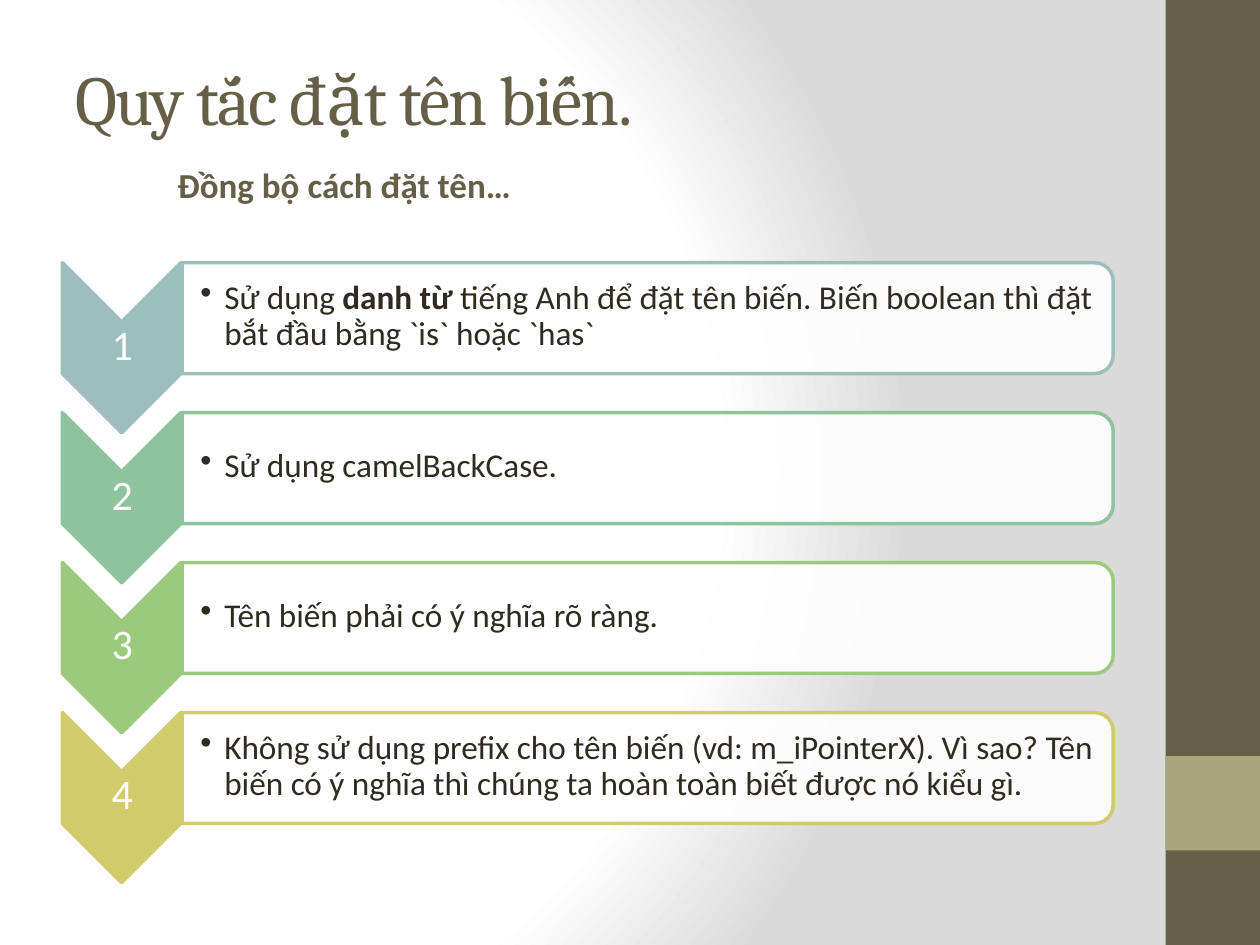
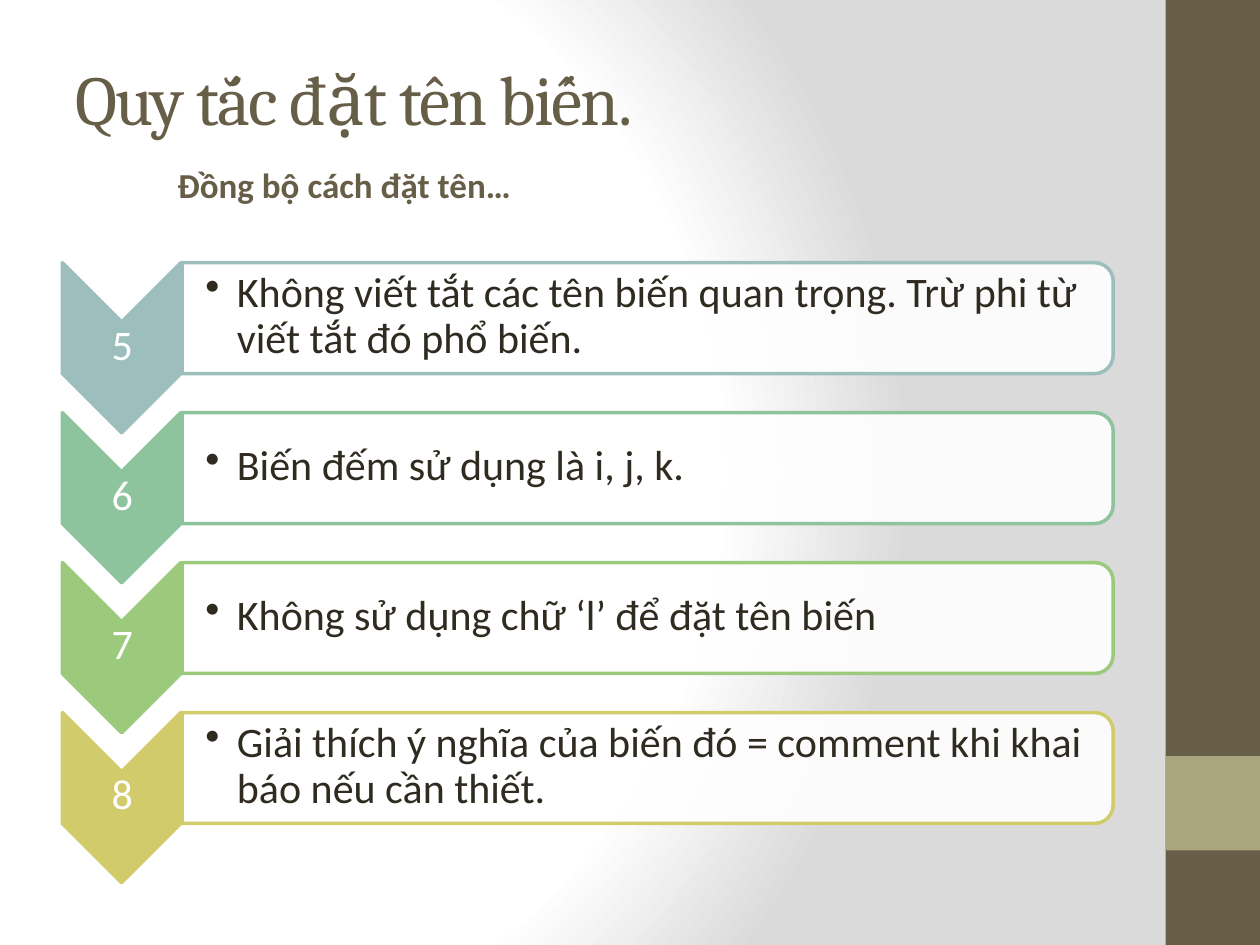
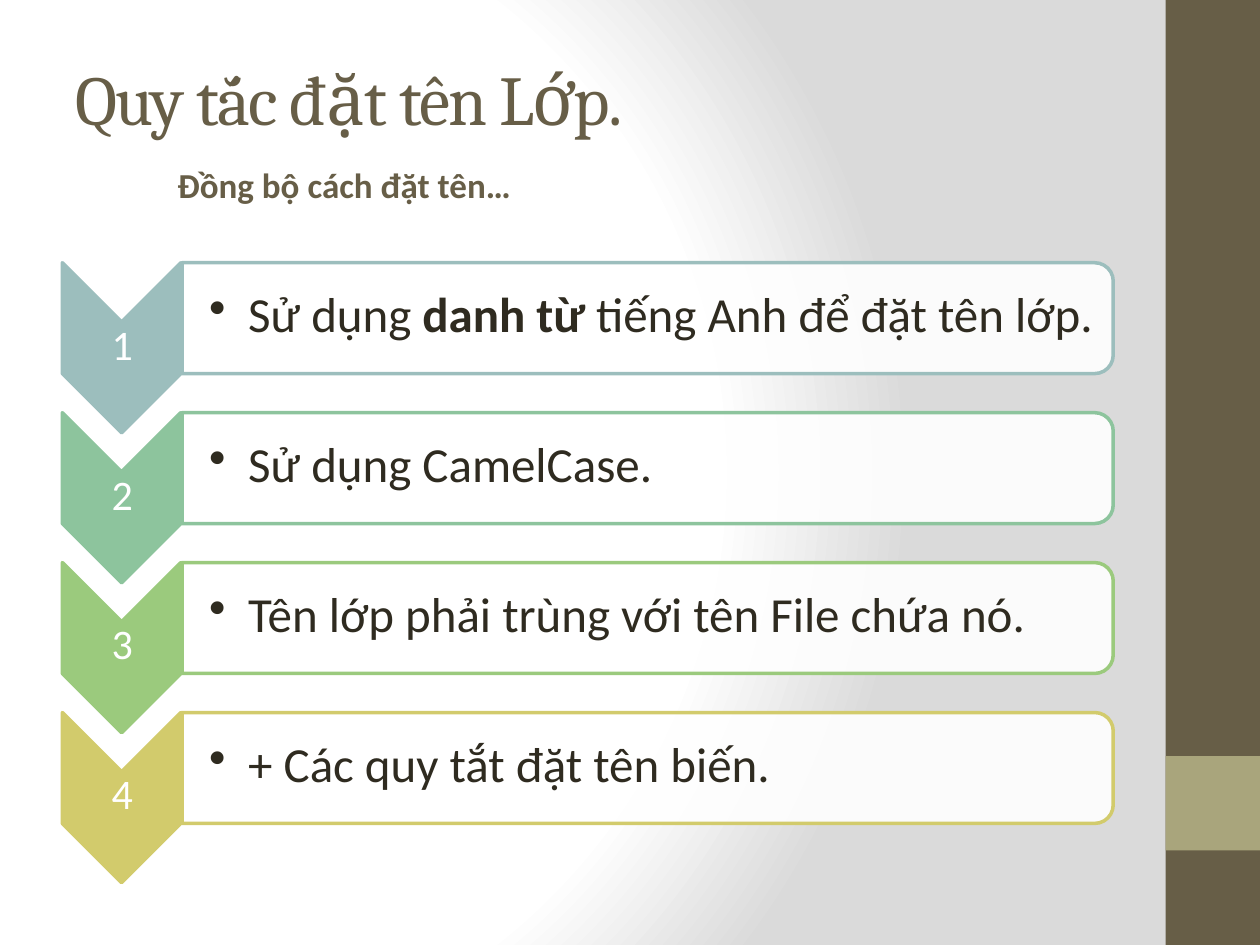
from dataclasses import dataclass

from pptx import Presentation
from pptx.dml.color import RGBColor
from pptx.enum import shapes, text
from pptx.oxml import parse_xml
from pptx.oxml.ns import nsdecls, qn
from pptx.util import Inches, Pt


@dataclass(frozen=True)
class Theme:
    heading_font: str = "Cambria"
    body_font: str = "Calibri"
    brown: str = "675E47"
    khaki: str = "A9A57C"
    ink: str = "2F2B20"
    white: str = "FFFFFF"
    gray: str = "DADADA"
    steps: tuple = ("9CBEBD", "8DC49D", "9BCA7D", "D2CB6C")
    title_size: int = 40
    subtitle_size: int = 20
    number_size: int = 24


@dataclass(frozen=True)
class RuleText:
    size: int
    inset: float
    indent: float


THEME = Theme()
SUBTITLE = "Đồng bộ cách đặt tên…"
LEFT, CONTENT_WIDTH = 0.5, 8.33
STEP_TOP, STEP_PITCH = 2.08, 1.19
CHEVRON_WIDTH, CHEVRON_HEIGHT = 0.94, 1.35
RULE_LEFT = LEFT + CHEVRON_WIDTH
RULE_WIDTH, RULE_HEIGHT = 7.39, 0.88

SLIDES = [
    ("Quy tắc đặt tên biến.", 1, RuleText(19, 0.15, 0.19), [
        "Sử dụng *danh từ *tiếng Anh để đặt tên biến. Biến boolean thì đặt bắt đầu bằng `is` hoặc `has`",
        "Sử dụng camelBackCase.",
        "Tên biến phải có ý nghĩa rõ ràng.",
        "Không sử dụng prefix cho tên biến (vd: m_iPointerX). Vì sao? "
        "Tên biến có ý nghĩa thì chúng ta hoàn toàn biết được nó kiểu gì.",
    ]),
    ("Quy tắc đặt tên biến.", 5, RuleText(24, 0.19, 0.25), [
        "Không viết tắt các tên biến quan trọng. Trừ phi từ viết tắt đó phổ biến.",
        "Biến đếm sử dụng là i, j, k.",
        "Không sử dụng chữ ‘l’ để đặt tên biến",
        "Giải thích ý nghĩa của biến đó = comment khi khai báo nếu cần thiết.",
    ]),
    ("Quy tắc đặt tên Lớp.", 1, RuleText(28, 0.22, 0.31), [
        "Sử dụng *danh từ *tiếng Anh để đặt tên lớp.",
        "Sử dụng CamelCase.",
        "Tên lớp phải trùng với tên File chứa nó.",
        "+ Các quy tắt đặt tên biến.",
    ]),
]


def bounds(left, top, width, height):
    return [Inches(round(length, 2)) for length in (left, top, width, height)]


def write(frame, content, size, color, font=THEME.body_font, bold=False,
          align=text.PP_ALIGN.LEFT, anchor=text.MSO_ANCHOR.MIDDLE, insets=None,
          margin=0, hanging=0, bullet=None, line_spacing=None, tracking=None):
    frame.word_wrap = True
    frame.auto_size = text.MSO_AUTO_SIZE.NONE
    frame.vertical_anchor = anchor
    if insets:
        (frame.margin_left, frame.margin_top,
         frame.margin_right, frame.margin_bottom) = map(Inches, insets)
    paragraph = frame.paragraphs[0]
    properties = paragraph._p.get_or_add_pPr()
    properties.set("marL", str(Inches(margin)))
    properties.set("indent", str(-Inches(hanging)))
    if bullet:
        properties.append(parse_xml(f'<a:buChar {nsdecls("a")} char="{bullet}"/>'))
    paragraph.alignment = align
    if line_spacing:
        paragraph.line_spacing = line_spacing
    for index, part in enumerate(content.split("*")):
        run = paragraph.add_run()
        run.text = part
        run.font.name = font
        run.font.size = Pt(size)
        run.font.bold = bold or index % 2 == 1
        run.font.color.rgb = RGBColor.from_string(color)
        if tracking is not None:
            run.font._element.set("spc", str(tracking * 100))


def add_text(slide, box, content, **style):
    write(slide.shapes.add_textbox(*bounds(*box)).text_frame, content, **style)


def add_filled(slide, preset, box, fill, line=None, opacity=None):
    shape = slide.shapes.add_shape(preset, *bounds(*box))
    shape.shadow.inherit = False
    shape.fill.solid()
    shape.fill.fore_color.rgb = RGBColor.from_string(fill)
    if opacity:
        color = shape.element.spPr.find(qn("a:solidFill"))[0]
        color.append(parse_xml(f'<a:alpha {nsdecls("a")} val="{opacity * 1000}"/>'))
    if line:
        shape.line.color.rgb = RGBColor.from_string(line)
        shape.line.width = Pt(2)
    else:
        shape.line.fill.background()
    return shape


def add_turned(slide, preset, box, fill, **style):
    left, top, width, height = box
    shift = (width - height) / 2
    shape = add_filled(slide, preset, (left + shift, top - shift, height, width), fill, **style)
    shape.rotation = 90


def set_background(master):
    master.background.fill.solid()
    properties = master.element.find(f".//{qn('p:bgPr')}")
    stops = "".join(
        f'<a:gs pos="{position * 1000}"><a:srgbClr val="{color}"/></a:gs>'
        for position, color in ((0, THEME.white), (75, THEME.white), (100, THEME.gray)))
    properties.replace(properties[0], parse_xml(
        f'<a:gradFill {nsdecls("a")} rotWithShape="1"><a:gsLst>{stops}</a:gsLst>'
        '<a:path path="circle"><a:fillToRect l="20000" t="50000" r="100000" b="50000"/>'
        '</a:path></a:gradFill>'))


def add_side_band(slide):
    for top, height, color in ((0, 7.5, THEME.brown), (6, 0.75, THEME.khaki)):
        add_filled(slide, shapes.MSO_SHAPE.RECTANGLE, (9.25, top, 0.75, height), color)


def add_heading(slide, heading):
    title = slide.shapes.title
    title.left, title.top, title.width, title.height = bounds(LEFT, 0.3, CONTENT_WIDTH, 0.95)
    write(title.text_frame, heading, size=THEME.title_size, color=THEME.brown,
          font=THEME.heading_font, tracking=-1)
    add_text(slide, (LEFT, 1.25, CONTENT_WIDTH, 0.42), SUBTITLE, size=THEME.subtitle_size,
             color=THEME.brown, bold=True, anchor=text.MSO_ANCHOR.TOP, margin=0.81)


def add_step(slide, top, number, rule, color, rule_text):
    add_turned(slide, shapes.MSO_SHAPE.CHEVRON,
               (LEFT, top, CHEVRON_WIDTH, CHEVRON_HEIGHT), color, line=color)
    add_text(slide, (LEFT, top + 0.47, CHEVRON_WIDTH, 0.4), str(number),
             size=THEME.number_size, color=THEME.white, align=text.PP_ALIGN.CENTER,
             insets=(0.02,) * 4, line_spacing=0.9)
    add_turned(slide, shapes.MSO_SHAPE.ROUND_2_SAME_RECTANGLE,
               (RULE_LEFT, top, RULE_WIDTH, RULE_HEIGHT), THEME.white, line=color, opacity=90)
    add_text(slide, (RULE_LEFT, top + 0.04, 7.35, 0.79), rule,
             size=rule_text.size, color=THEME.ink, insets=(rule_text.inset, 0.02, 0.01, 0.02),
             margin=rule_text.indent, hanging=rule_text.indent, bullet="•", line_spacing=0.9)


def main():
    deck = Presentation()
    deck.slide_width, deck.slide_height = Inches(10), Inches(7.5)
    set_background(deck.slide_master)
    for heading, first_number, rule_text, rules in SLIDES:
        slide = deck.slides.add_slide(deck.slide_layouts[5])
        add_side_band(slide)
        add_heading(slide, heading)
        for row, (rule, color) in enumerate(zip(rules, THEME.steps)):
            add_step(slide, STEP_TOP + row * STEP_PITCH, first_number + row, rule, color, rule_text)
    deck.save("out.pptx")


if __name__ == "__main__":
    main()
